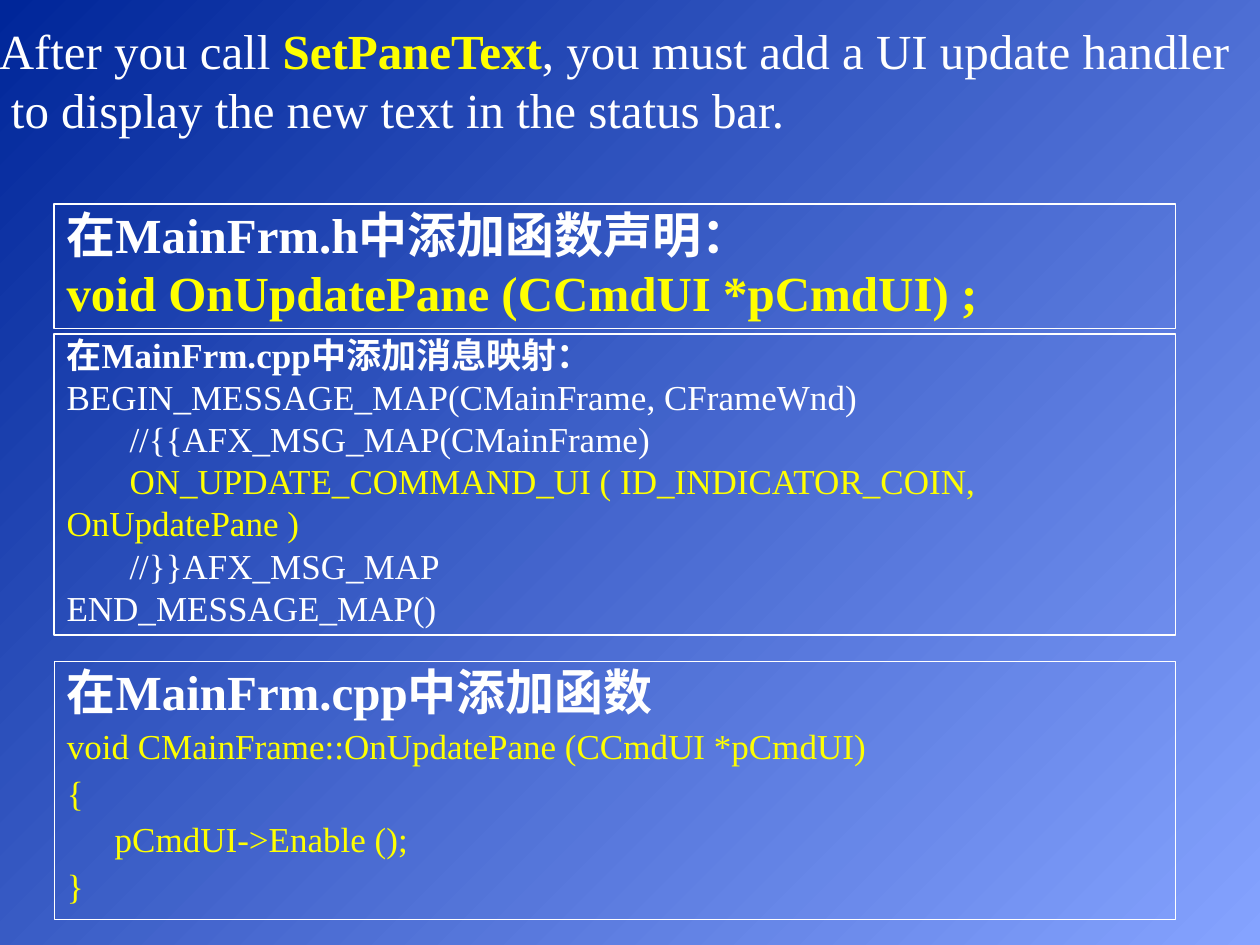
from dataclasses import dataclass
from typing import NamedTuple

from lxml.etree import SubElement
from pptx import Presentation
from pptx.dml.color import RGBColor
from pptx.enum.shapes import MSO_SHAPE
from pptx.enum.text import MSO_ANCHOR, MSO_AUTO_SIZE, PP_ALIGN
from pptx.oxml.ns import qn
from pptx.util import Inches, Pt


@dataclass(frozen=True)
class Theme:
    font: str = "Times New Roman"
    white: RGBColor = RGBColor(0xFF, 0xFF, 0xFF)
    yellow: RGBColor = RGBColor(0xFF, 0xFF, 0x00)
    dark_blue: RGBColor = RGBColor(0x00, 0x26, 0x99)
    light_blue: RGBColor = RGBColor(0x85, 0xA3, 0xFF)
    large: int = 28
    small: int = 20
    border: float = 0.75


THEME = Theme()
PANEL_LEFT, PANEL_WIDTH = 0.43, 8.9


class Line(NamedTuple):
    text: str
    size: int
    color: RGBColor = THEME.white
    bold: bool = False
    before: int = 0


def style(font, line: Line) -> None:
    font.name, font.size, font.bold = THEME.font, Pt(line.size), line.bold
    font.color.rgb = line.color


def write_lines(frame, lines: list[Line], hanging: float = 0, spacing: float = 1) -> None:
    """Fill a frame with plain left-aligned lines."""
    for index, line in enumerate(lines):
        paragraph = frame.paragraphs[0] if index == 0 else frame.add_paragraph()
        properties = paragraph._p.get_or_add_pPr()
        properties.set("marL", str(Inches(hanging)))
        properties.set("indent", str(-Inches(hanging)))
        SubElement(properties, qn("a:buNone"))
        paragraph.alignment = PP_ALIGN.LEFT
        paragraph.line_spacing = spacing
        paragraph.space_before = Pt(line.before)
        style(paragraph.font, line)
        paragraph.add_run().text = line.text


def place(shape, left: float, top: float, width: float, height: float) -> None:
    shape.left, shape.top = Inches(left), Inches(top)
    shape.width, shape.height = Inches(width), Inches(height)


def outline(shape) -> None:
    shape.fill.background()
    shape.line.color.rgb = THEME.white
    shape.line.width = Pt(THEME.border)


def fit_frame(frame, wrap: bool, anchor: MSO_ANCHOR) -> None:
    frame.word_wrap = wrap
    frame.auto_size = MSO_AUTO_SIZE.SHAPE_TO_FIT_TEXT
    frame.vertical_anchor = anchor
    frame.margin_left = frame.margin_right = Inches(0.1)
    frame.margin_top, frame.margin_bottom = 0, Inches(0.05)


def add_panel(slide, top: float, height: float, lines: list[Line]) -> None:
    panel = slide.shapes.add_shape(MSO_SHAPE.RECTANGLE, 0, 0, 0, 0)
    place(panel, PANEL_LEFT, top, PANEL_WIDTH, height)
    panel.shadow.inherit = False
    outline(panel)
    fit_frame(panel.text_frame, True, MSO_ANCHOR.TOP)
    write_lines(panel.text_frame, lines)


def main() -> None:
    presentation = Presentation()
    presentation.slide_width, presentation.slide_height = Inches(10), Inches(7.5)
    slide = presentation.slides.add_slide(presentation.slide_layouts[1])

    # Diagonal blue background
    background = slide.background.fill
    background.gradient()
    background.gradient_angle = 315
    for stop, color in zip(background.gradient_stops, (THEME.dark_blue, THEME.light_blue)):
        stop.color.rgb = color

    # Statement with the highlighted function name
    statement = slide.shapes.title
    place(statement, -0.11, 0.16, 10, 0.99)
    fit_frame(statement.text_frame, False, MSO_ANCHOR.MIDDLE)
    write_lines(statement.text_frame, [
        Line("After you call ", THEME.large),
        Line(" to display the new text in the status bar.", THEME.large),
    ])
    opening = statement.text_frame.paragraphs[0]
    function_name = opening.add_run()
    function_name.text = "SetPaneText"
    style(function_name.font, Line("", THEME.large, THEME.yellow, True))
    opening.add_run().text = ", you must add a UI update handler"

    # Declaration and message map
    add_panel(slide, 1.62, 0.99, [
        Line("在MainFrm.h中添加函数声明：", THEME.large, bold=True),
        Line("void OnUpdatePane (CCmdUI *pCmdUI) ;", THEME.large, THEME.yellow, True),
    ])
    add_panel(slide, 2.65, 2.39, [
        Line("在MainFrm.cpp中添加消息映射：", THEME.small, bold=True),
        Line("BEGIN_MESSAGE_MAP(CMainFrame, CFrameWnd)", THEME.small),
        Line("\t//{{AFX_MSG_MAP(CMainFrame)", THEME.small),
        Line("\tON_UPDATE_COMMAND_UI ( ID_INDICATOR_COIN, OnUpdatePane )",
             THEME.small, THEME.yellow),
        Line("\t//}}AFX_MSG_MAP", THEME.small),
        Line("END_MESSAGE_MAP()", THEME.small),
    ])

    # Function body
    definition = slide.placeholders[1]
    place(definition, PANEL_LEFT, 5.25, PANEL_WIDTH, 2.05)
    outline(definition)
    code = ["void CMainFrame::OnUpdatePane (CCmdUI *pCmdUI)", "{",
            "\tpCmdUI->Enable ();", "}"]
    write_lines(
        definition.text_frame,
        [Line("在MainFrm.cpp中添加函数", THEME.large, bold=True)]
        + [Line(text, THEME.small, THEME.yellow, before=5) for text in code],
        hanging=0.38, spacing=0.9,
    )

    presentation.save("out.pptx")


if __name__ == "__main__":
    main()
